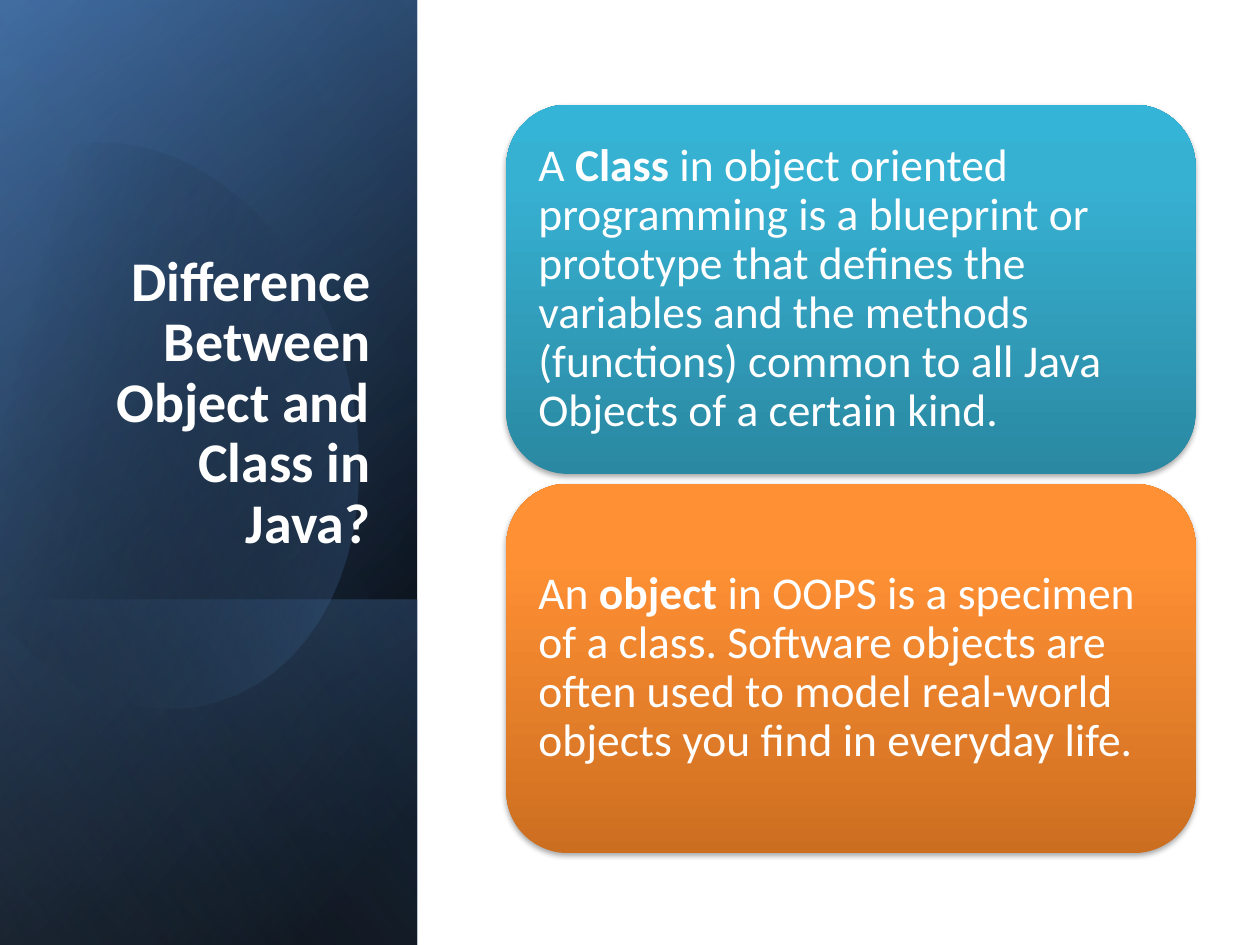
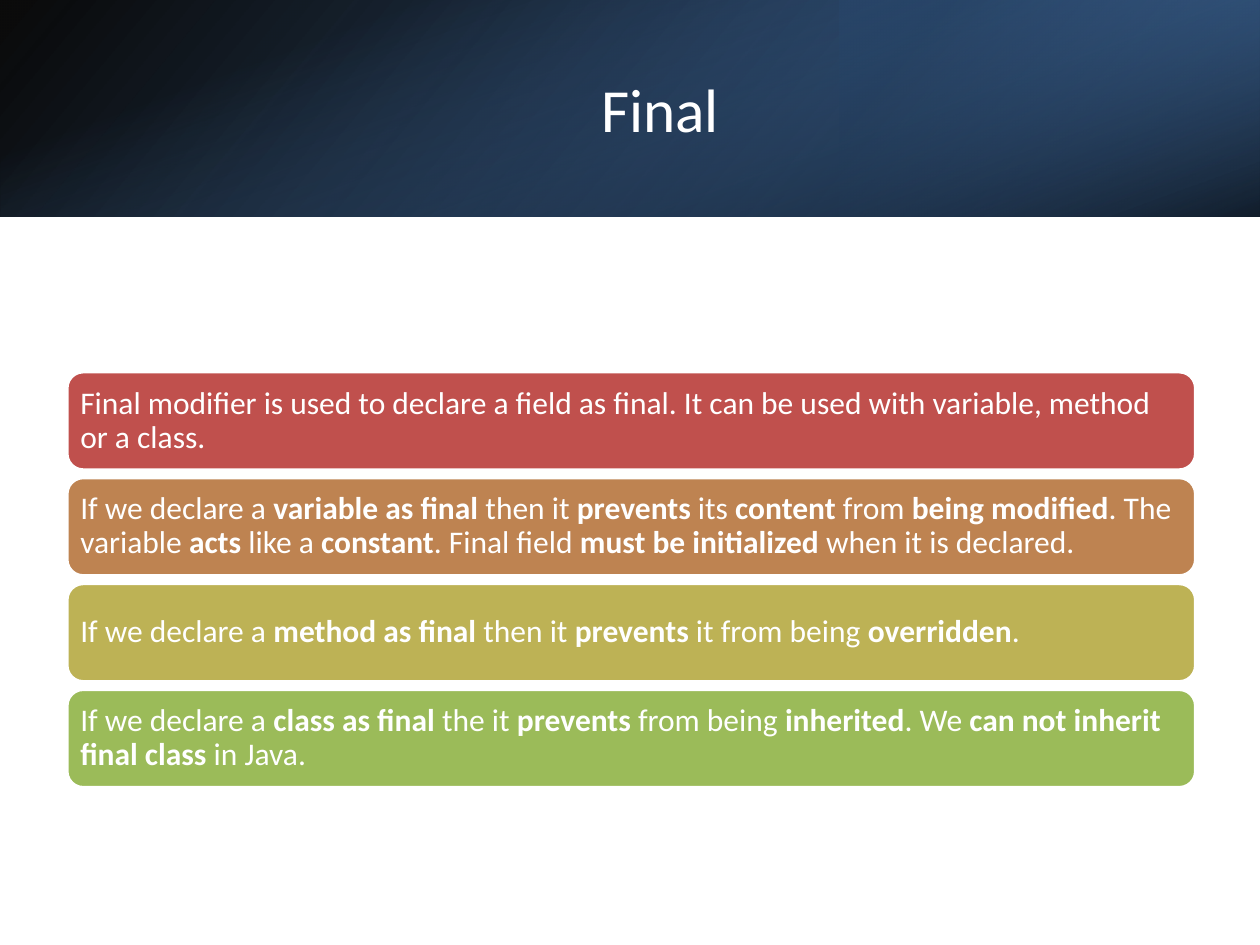
from dataclasses import dataclass
from math import cos, radians, sin
from typing import NamedTuple, Optional

from pptx import Presentation
from pptx.dml.color import RGBColor
from pptx.enum.shapes import MSO_SHAPE
from pptx.enum.text import MSO_ANCHOR, MSO_AUTO_SIZE, PP_ALIGN
from pptx.oxml import parse_xml
from pptx.oxml.ns import nsdecls, qn
from pptx.util import Pt

FONT = "Calibri"
WHITE = RGBColor(0xFF, 0xFF, 0xFF)
BLACK = RGBColor(0x00, 0x00, 0x00)
BLUE = RGBColor(0x4F, 0x81, 0xBD)
DEEP = RGBColor(0x37, 0x60, 0x92)
NAVY = RGBColor(0x25, 0x40, 0x61)
PALE = RGBColor(0x95, 0xB3, 0xD7)
RED = RGBColor(0xC0, 0x50, 0x4D)
BROWN = RGBColor(0xBE, 0x83, 0x51)
OLIVE = RGBColor(0xBD, 0xB2, 0x55)
GREEN = RGBColor(0x9B, 0xBB, 0x59)
TEAL = (RGBColor(0x2A, 0x88, 0xA2), RGBColor(0x37, 0xB1, 0xD2), RGBColor(0x34, 0xB4, 0xD6))
AMBER = (RGBColor(0xCC, 0x6E, 0x20), RGBColor(0xFF, 0x90, 0x34), RGBColor(0xFF, 0x91, 0x36))

WIDE, HIGH = 720, 540
SIDE, TOP = 238.3, 123.8


class Box(NamedTuple):
    left: float
    top: float
    width: float
    height: float


class Stop(NamedTuple):
    place: int
    color: RGBColor
    alpha: int = 100


@dataclass(frozen=True)
class Fade:
    angle: int
    stops: tuple[Stop, ...]


@dataclass(frozen=True)
class Band:
    box: Box
    fade: Fade
    turn: int = 90
    flip: bool = True


@dataclass(frozen=True)
class Card:
    text: str
    color: Optional[RGBColor] = None
    fade: Optional[Fade] = None


@dataclass(frozen=True)
class Stack:
    box: Box
    pitch: float
    size: int
    inset: int
    cards: tuple[Card, ...]


PANEL = Box(0, 0, SIDE, HIGH)
HEAD = Box(0, 0, WIDE, TOP)

PANELS = (
    Band(PANEL, Fade(50, (Stop(8, BLACK), Stop(100, DEEP)))),
    Band(PANEL, Fade(30, (Stop(0, BLACK, 0), Stop(99, BLUE, 46)))),
    Band(Box(0, 342.7, SIDE, 197.3), Fade(130, (Stop(2, BLUE, 29), Stop(100, BLACK, 30)))),
)
GLAZE = Band(PANEL, Fade(120, (Stop(0, BLACK, 0), Stop(99, PALE, 11))))
HEADS = (
    Band(HEAD, Fade(140, (Stop(0, BLACK, 96), Stop(100, DEEP))), turn=0),
    Band(Box(480, 0, 240, TOP), Fade(320, (Stop(19, NAVY, 68), Stop(100, BLUE, 79))), turn=180),
    Band(HEAD, Fade(340, (Stop(23, BLUE, 0), Stop(99, BLACK, 74))), flip=False),
)

BLOB = Fade(30, (Stop(29, BLACK, 0), Stop(100, BLUE, 43)))
TILT = 343.9
PIVOT = (85.7, 240.9)
START = (69, 82)
CURVES = (
    ((123, 88), (176, 138), (197, 209)),
    ((221, 297), (189, 382), (123, 401)),
    ((82, 413), (38, 396), (5, 360)),
    ((-2, 351),),
    ((-18, 120),),
    ((-11, 111),),
    ((1, 99), (16, 90), (32, 85)),
    ((45, 81), (57, 81), START),
)


def glow(colors: tuple) -> Fade:
    return Fade(270, tuple(Stop(p, c) for p, c in zip((0, 80, 100), colors)))


TERMS = Stack(Box(289.4, 59.8, 393.8, 211), 216.7, 26, 8, (
    Card("A *Class* in object oriented programming is a blueprint or prototype that defines "
         "the variables and the methods (functions) common to all Java Objects of a certain kind.",
         fade=glow(TEAL)),
    Card("An *object* in OOPS is a specimen of a class. Software objects are often used to "
         "model real-world objects you find in everyday life.", fade=glow(AMBER)),
))
RULES = Stack(Box(38.2, 212.4, 645.1, 56.2), 60.5, 18, 5, (
    Card("Final modifier is used to declare a field as final. It can be used with variable, "
         "method or a class.", RED),
    Card("If we declare a *variable as final* then it *prevents* its *content* from "
         "*being modified*. The variable *acts* like a *constant*. Final field "
         "*must be initialized* when it is declared.", BROWN),
    Card("If we declare a *method as final* then it *prevents* it from being *overridden*.", OLIVE),
    Card("If we declare a *class as final* the it *prevents* from being *inherited*. We "
         "*can not inherit final class* in Java.", GREEN),
))


def write(shape, text: str, *, size: int, bold: bool = False, align=PP_ALIGN.LEFT,
          anchor=MSO_ANCHOR.MIDDLE, space: float = 0.9, inset: Optional[int] = None) -> None:
    frame = shape.text_frame
    frame.word_wrap = True
    frame.auto_size = MSO_AUTO_SIZE.NONE
    frame.vertical_anchor = anchor
    if inset is not None:
        frame.margin_left = frame.margin_right = Pt(inset)
        frame.margin_top = frame.margin_bottom = Pt(inset)
    para = frame.paragraphs[0]
    para.alignment = align
    para.line_spacing = space
    for index, part in enumerate(text.split("*")):
        run = para.add_run()
        run.text = part
        run.font.name = FONT
        run.font.size = Pt(size)
        run.font.bold = bold or index % 2 == 1
        run.font.color.rgb = WHITE


def blend(shape, fade: Fade) -> None:
    stops = "".join(
        f'<a:gs pos="{s.place * 1000}"><a:srgbClr val="{s.color}">'
        f'<a:alpha val="{s.alpha * 1000}"/></a:srgbClr></a:gs>' for s in fade.stops)
    shape.fill.background()
    props = shape.element.spPr
    props.replace(props.find(qn("a:noFill")), parse_xml(
        f'<a:gradFill {nsdecls("a")} rotWithShape="1"><a:gsLst>{stops}</a:gsLst>'
        f'<a:lin ang="{fade.angle * 60000}" scaled="0"/></a:gradFill>'))


def shade(shape) -> None:
    shape.element.spPr.find(qn("a:effectLst")).append(parse_xml(
        f'<a:outerShdw {nsdecls("a")} blurRad="{Pt(3.1)}" dist="{Pt(1.8)}" dir="5400000" '
        f'rotWithShape="0"><a:srgbClr val="{BLACK}"><a:alpha val="35000"/></a:srgbClr></a:outerShdw>'))


def place(slide, kind, box: Box):
    shape = slide.shapes.add_shape(kind, *map(Pt, box))
    shape.shadow.inherit = False
    shape.line.fill.background()
    return shape


def paint(slide, band: Band) -> None:
    box = band.box
    if band.turn == 90:
        shift = (box.width - box.height) / 2
        box = Box(box.left + shift, box.top - shift, box.height, box.width)
    shape = place(slide, MSO_SHAPE.RECTANGLE, box)
    shape.rotation = band.turn
    if band.flip:
        shape.element.spPr.xfrm.set("flipH", "1")
    blend(shape, band.fade)


def trace(steps: int = 16) -> list:
    points = [START]
    for curve in CURVES:
        if len(curve) == 1:
            points.append(curve[0])
            continue
        knots = (points[-1], *curve)
        for step in range(1, steps + 1):
            t = step / steps
            parts = ((1 - t) ** 3, 3 * t * (1 - t) ** 2, 3 * t * t * (1 - t), t ** 3)
            points.append(tuple(sum(w * k[axis] for w, k in zip(parts, knots)) for axis in (0, 1)))
    return points


def level(point: tuple) -> tuple:
    turn = radians(-TILT)
    x, y = point[0] - PIVOT[0], point[1] - PIVOT[1]
    return (Pt(PIVOT[0] + x * cos(turn) - y * sin(turn)),
            Pt(PIVOT[1] + x * sin(turn) + y * cos(turn)))


def curl(slide) -> None:
    first, *rest = map(level, trace())
    pen = slide.shapes.build_freeform(*first)
    pen.add_line_segments(rest, close=True)
    shape = pen.convert_to_shape()
    shape.shadow.inherit = False
    shape.line.fill.background()
    shape.rotation = TILT
    blend(shape, BLOB)


def name(slide, text: str, box: Box, **form) -> None:
    title = slide.shapes.title
    title.left, title.top, title.width, title.height = map(Pt, box)
    write(title, text, **form)
    slide.shapes.element.append(title.element)


def pile(slide, stack: Stack) -> None:
    for index, card in enumerate(stack.cards):
        box = stack.box._replace(top=stack.box.top + index * stack.pitch)
        shape = place(slide, MSO_SHAPE.ROUNDED_RECTANGLE, box)
        if card.fade:
            blend(shape, card.fade)
            shade(shape)
        else:
            shape.fill.solid()
            shape.fill.fore_color.rgb = card.color
            shape.line.color.rgb = WHITE
            shape.line.width = Pt(2)
        write(shape, card.text, size=stack.size, inset=stack.inset)


def main() -> None:
    deck = Presentation()
    deck.slide_width, deck.slide_height = Pt(WIDE), Pt(HIGH)
    plain = deck.slide_layouts[5]

    slide = deck.slides.add_slide(plain)
    for band in PANELS:
        paint(slide, band)
    curl(slide)
    paint(slide, GLAZE)
    name(slide, "Difference Between Object and Class in Java?", Box(34.6, 132.5, 184.3, 188.6),
         size=32, bold=True, align=PP_ALIGN.RIGHT, anchor=MSO_ANCHOR.BOTTOM)
    pile(slide, TERMS)

    slide = deck.slides.add_slide(plain)
    for band in HEADS:
        paint(slide, band)
    name(slide, "Final", Box(80.6, 27.4, 593.3, 69.1), size=35, align=PP_ALIGN.CENTER, space=1.0)
    pile(slide, RULES)

    deck.save("out.pptx")


if __name__ == "__main__":
    main()
